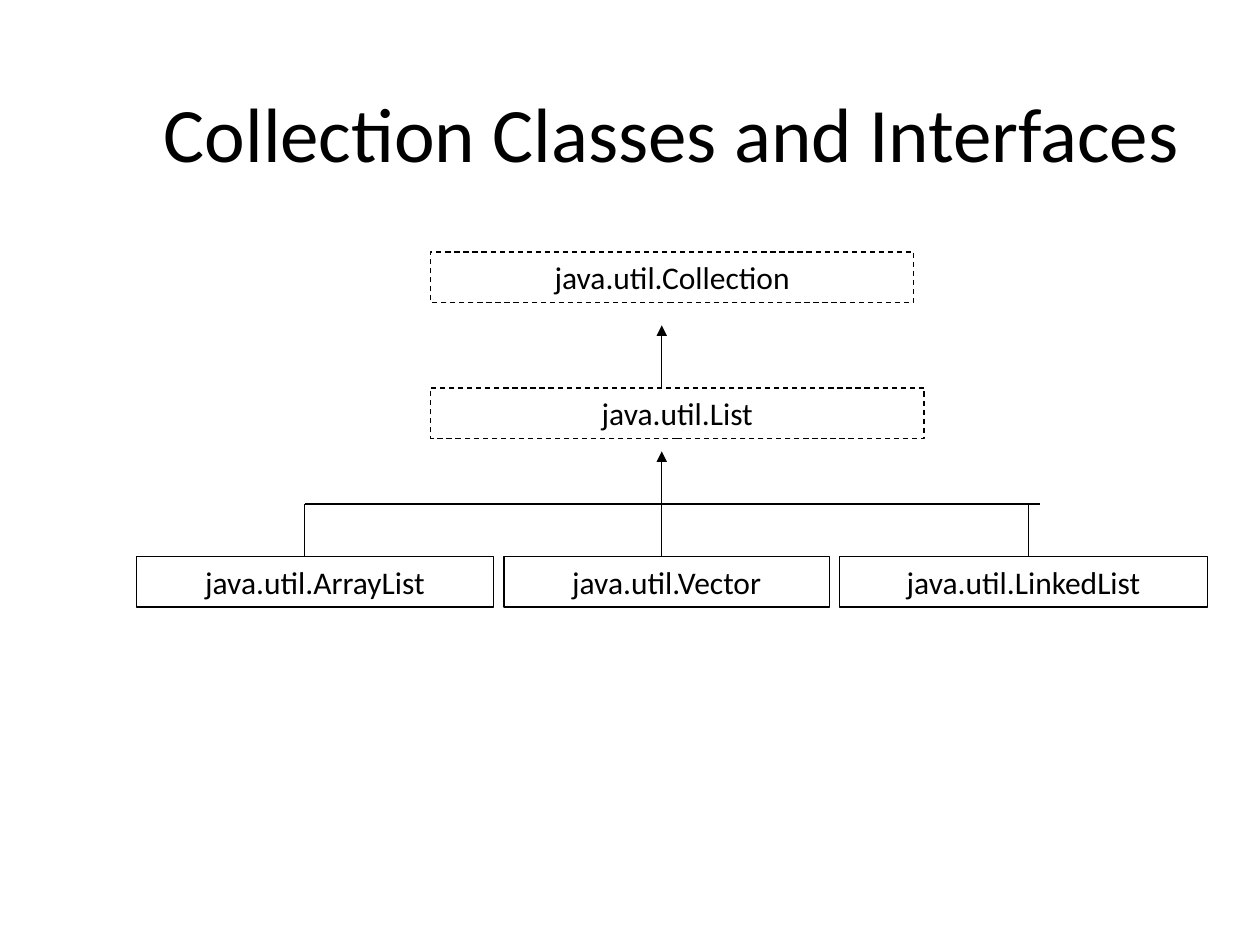
"""Build a slide with a tree of Java collection classes and interfaces."""
from lxml.etree import SubElement
from pptx import Presentation
from pptx.dml.color import RGBColor
from pptx.enum.dml import MSO_LINE
from pptx.enum.shapes import MSO_CONNECTOR, MSO_SHAPE
from pptx.enum.text import MSO_ANCHOR, PP_ALIGN
from pptx.oxml.ns import qn
from pptx.util import Cm, Pt

BLACK = RGBColor(0, 0, 0)
FONT = "Calibri"
TITLE = "Collection Classes and Interfaces"

HIGH = 1.02
TOP, MID, LOW = 5.08, 7.82, 11.22
BAR = 10.16
LEFT, AXIS, RIGHT = 6.14, 13.34, 20.74

BOXES = [
    ("java.util.Collection", 8.68, TOP, 9.74, True),
    ("java.util.List", 8.68, MID, 9.95, True),
    ("java.util.ArrayList", 2.75, LOW, 7.2, False),
    ("java.util.Vector", 10.16, LOW, 6.56, False),
    ("java.util.LinkedList", 16.93, LOW, 7.41, False),
]
LINES = [
    (AXIS, MID, AXIS, 6.56, "a:tailEnd"),
    (AXIS, 9.1, AXIS, BAR, "a:headEnd"),
    (LEFT, BAR, 20.96, BAR, None),
    (LEFT, BAR, LEFT, LOW, None),
    (RIGHT, BAR, RIGHT, LOW, None),
    (AXIS, LOW, AXIS, BAR, None),
]


def write(shape, text, size):
    frame = shape.text_frame
    frame.word_wrap = True
    frame.vertical_anchor = MSO_ANCHOR.MIDDLE
    para = frame.paragraphs[0]
    para.text = text
    para.alignment = PP_ALIGN.CENTER
    para.font.name = FONT
    para.font.size = Pt(size)
    para.font.color.rgb = BLACK


def ink(line):
    line.color.rgb = BLACK
    line.width = Pt(0.75)


def add_box(slide, text, left, top, wide, dashed):
    box = slide.shapes.add_shape(
        MSO_SHAPE.RECTANGLE, Cm(left), Cm(top), Cm(wide), Cm(HIGH))
    box.shadow.inherit = False
    box.fill.background()
    ink(box.line)
    if dashed:
        box.line.dash_style = MSO_LINE.DASH
    write(box, text, 18)


def add_line(slide, x1, y1, x2, y2, tip):
    link = slide.shapes.add_connector(
        MSO_CONNECTOR.STRAIGHT, Cm(x1), Cm(y1), Cm(x2), Cm(y2))
    ink(link.line)
    props = link._element.spPr
    if tip:
        SubElement(props.find(qn("a:ln")), qn(tip), type="triangle")
    SubElement(props, qn("a:effectLst"))


def main():
    deck = Presentation()
    deck.slide_width, deck.slide_height = Cm(25.4), Cm(19.05)
    slide = deck.slides.add_slide(deck.slide_layouts[6])
    title = slide.shapes.add_textbox(Cm(2.96), Cm(0.66), Cm(21.17), Cm(4))
    write(title, TITLE, 44)
    for box in BOXES:
        add_box(slide, *box)
    for line in LINES:
        add_line(slide, *line)
    deck.save("out.pptx")


if __name__ == "__main__":
    main()
